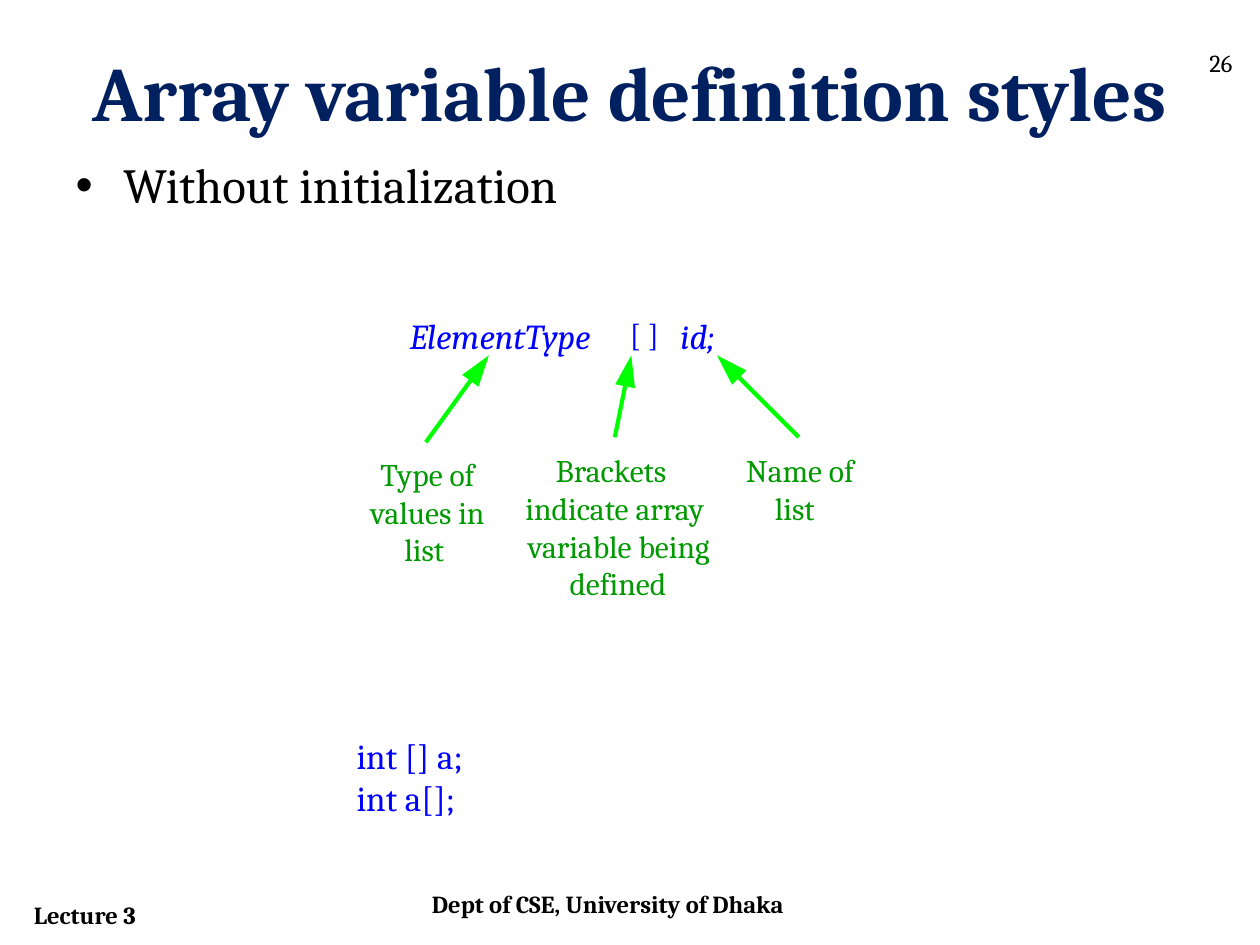
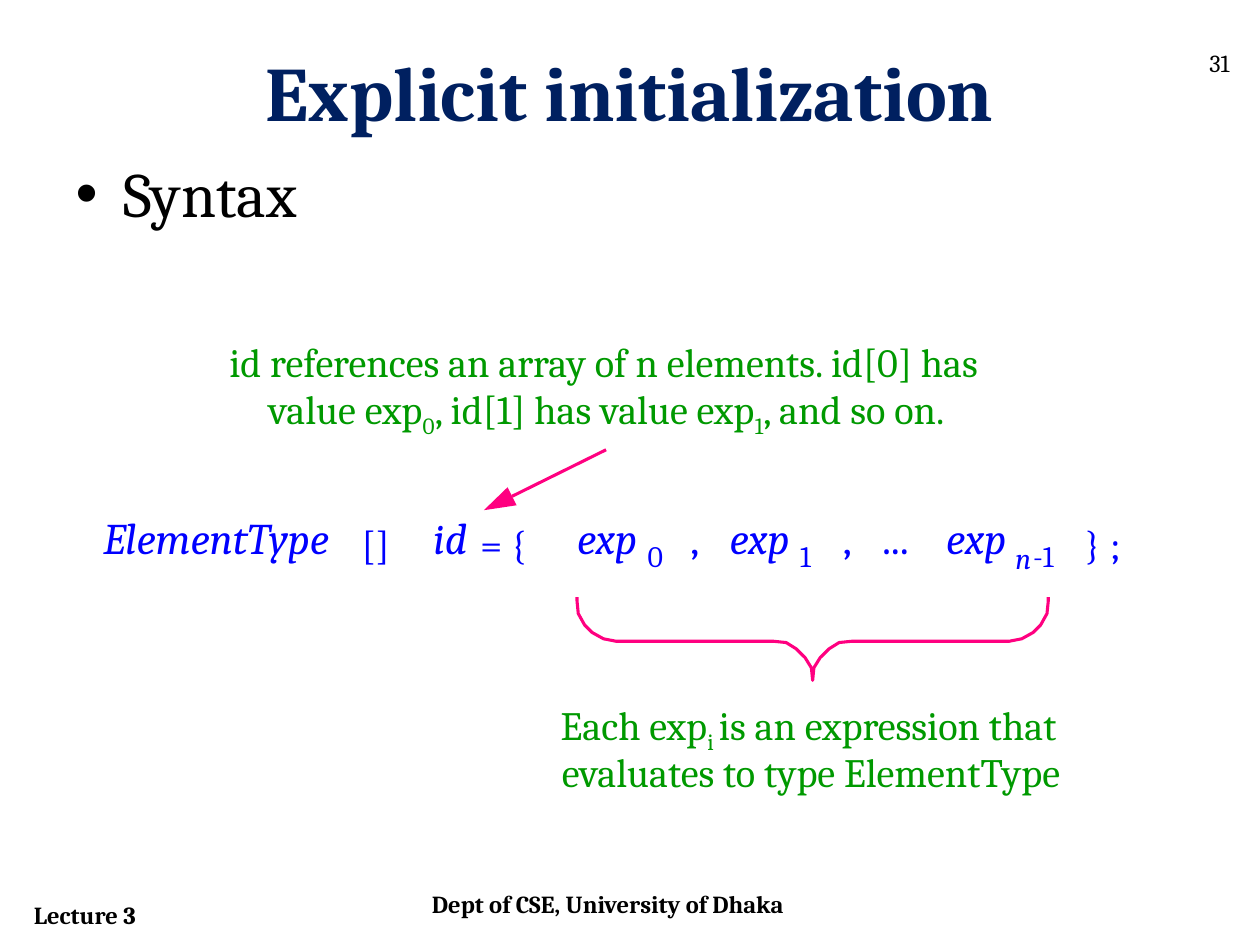
from dataclasses import dataclass
from math import hypot

from lxml.etree import SubElement
from pptx import Presentation
from pptx.dml.color import RGBColor
from pptx.enum.shapes import MSO_CONNECTOR as Connector
from pptx.enum.text import MSO_ANCHOR as Anchor, MSO_AUTO_SIZE as AutoSize, PP_ALIGN as Align
from pptx.oxml.ns import qn
from pptx.util import Inches, Pt


@dataclass(frozen=True)
class Theme:
    font: str = "Cambria"
    navy: str = "002060"
    black: str = "000000"
    blue: str = "0000FF"
    green: str = "009900"
    lime: str = "00FF00"
    pink: str = "FF0080"
    title_size: int = 44
    footer_size: int = 14
    label_size: int = 18
    code_size: int = 20
    note_size: int = 23


THEME = Theme()
TITLE_AREA = (0.5, 0.3, 9, 1.25)
BODY_AREA = (0.5, 1.18, 9, 5.52)
HEAD_LENGTH, HEAD_HALF_WIDTH = 0.25, 0.08

FOOTERS = [
    ("Lecture 3", (0.17, 7.09, 2, 0.34)),
    ("Dept of CSE, University of Dhaka", (3.33, 7.01, 3.08, 0.4)),
]
NUMBER_AREA = (9.5, 0.33, 0.42, 0.4)

LABEL_PITCH = 0.3
CALLOUTS = [
    {"top": 3.61, "arrow": ((3.38, 3.51), (3.88, 2.82)),
     "lines": [("Type of", 3.02, 0.8), ("values in", 2.94, 0.99), ("list", 3.21, 0.33)]},
    {"top": 3.58, "arrow": ((4.88, 3.47), (5.01, 2.82)),
     "lines": [("Brackets", 4.41, 0.93), ("indicate array", 4.17, 1.5),
               ("variable being", 4.19, 1.56), ("defined", 4.52, 0.82)]},
    {"top": 3.58, "arrow": ((6.34, 3.47), (5.69, 2.82)),
     "lines": [("Name of", 5.92, 0.89), ("list", 6.15, 0.33)]},
]
DECLARATION = [
    ("ElementType", 3.25, 1.52, THEME.code_size, True),
    ("[ ]", 5, 0.23, THEME.label_size, False),
    ("id;", 5.4, 0.35, THEME.code_size, True),
]
EXAMPLES = ["int [] a;", "int a[];"]

TOKEN_STYLES = {
    "word": (4.05, 0.42, {"size": 25, "italic": True}),
    "comma": (4.05, 0.42, {"size": 25}),
    "mark": (4.12, 0.39, {"size": 23}),
    "index": (4.27, 0.29, {"size": 17}),
    "variable index": (4.28, 0.29, {"size": 17, "italic": True}),
}
SYNTAX = [
    ("ElementType", 0.82, 1.9, "word"), ("[]", 2.87, 0.3, "mark"),
    ("id", 3.44, 0.28, "word"), ("= {", 3.81, 0.45, "mark"),
    ("exp", 4.58, 0.5, "word"), ("0", 5.14, 0.13, "index"), (",", 5.48, 0.07, "comma"),
    ("exp", 5.79, 0.5, "word"), ("1", 6.35, 0.13, "index"), (",", 6.69, 0.07, "comma"),
    ("...", 7, 0.22, "comma"),
    ("exp", 7.51, 0.5, "word"), ("n", 8.06, 0.13, "variable index"),
    ("-1", 8.2, 0.21, "index"),
    ("}", 8.61, 0.12, "mark"), (";", 8.81, 0.09, "mark"),
]
NOTES = [
    (["id references an array of n elements. id[0] has"], (1.82, 2.68, 6.48, 0.38)),
    (["value exp", "0", ", id[1] has value exp", "1", ", and so on."],
     (2.13, 3.05, 5.79, 0.38)),
    (["Each exp", "i ", "is an expression that"], (4.45, 5.56, 4.19, 0.38)),
    (["evaluates to type ElementType"], (4.46, 5.93, 4.38, 0.38)),
]
ID_ARROW = ((4.81, 3.57), (3.84, 4.05))
BRACE_CENTER = 6.45
BRACE_HALF = [
    (1.87, 4.74), (1.87, 4.77), (1.86, 4.87), (1.81, 4.96), (1.75, 5.02),
    (1.66, 5.07), (1.56, 5.09), (0.31, 5.09), (0.21, 5.1), (0.13, 5.15),
    (0.06, 5.22), (0.01, 5.3), (0, 5.4),
]


def style(font, color, size, **values):
    for name, value in {"name": THEME.font, "size": Pt(size), **values}.items():
        setattr(font, name, value)
    font.color.rgb = RGBColor.from_string(color)


def place(shape, area):
    for name, value in zip(("left", "top", "width", "height"), area):
        setattr(shape, name, Inches(value))


def add_text(page, paragraphs, area, color, size, inset=0, **values):
    box = page.shapes.add_textbox(*map(Inches, area))
    frame = box.text_frame
    frame.word_wrap = False
    frame.auto_size = AutoSize.SHAPE_TO_FIT_TEXT
    if not inset:
        for side in ("left", "top", "right", "bottom"):
            setattr(frame, f"margin_{side}", 0)
    for index, spans in enumerate(paragraphs):
        para = frame.add_paragraph() if index else frame.paragraphs[0]
        for position, text in enumerate(spans):
            span = para.add_run()
            span.text = text
            style(span.font, color, size, **values)
            if position % 2:
                span._r.get_or_add_rPr().set("baseline", "-25000")


def add_outline(page, points, closed):
    (left, top), *rest = points
    builder = page.shapes.build_freeform(Inches(left), Inches(top))
    builder.add_line_segments([(Inches(x), Inches(y)) for x, y in rest], close=closed)
    outline = builder.convert_to_shape()
    outline.shadow.inherit = False
    return outline


def add_arrow(page, start, tip, color, weight):
    length = hypot(tip[0] - start[0], tip[1] - start[1])
    ux, uy = (tip[0] - start[0]) / length, (tip[1] - start[1]) / length
    base = (tip[0] - ux * HEAD_LENGTH, tip[1] - uy * HEAD_LENGTH)
    shaft = page.shapes.add_connector(Connector.STRAIGHT, *map(Inches, (*start, *base)))
    shaft.line.color.rgb = RGBColor.from_string(color)
    shaft.line.width = Pt(weight)
    SubElement(shaft._element.spPr, qn("a:effectLst"))
    corners = [(base[0] - side * uy, base[1] + side * ux)
               for side in (HEAD_HALF_WIDTH, -HEAD_HALF_WIDTH)]
    head = add_outline(page, [tip, *corners], True)
    head.fill.solid()
    head.fill.fore_color.rgb = RGBColor.from_string(color)
    head.line.fill.background()


def add_page(deck, title, bullet, bullet_size, number):
    page = deck.slides.add_slide(deck.slide_layouts[1])
    heading, body = page.placeholders
    for holder, text, area in ((heading, title, TITLE_AREA), (body, bullet, BODY_AREA)):
        place(holder, area)
        holder.text_frame.text = text
        holder.text_frame.vertical_anchor = Anchor.TOP
        holder.text_frame.auto_size = AutoSize.NONE
    para = heading.text_frame.paragraphs[0]
    para.alignment = Align.CENTER
    style(para.runs[0].font, THEME.navy, THEME.title_size, bold=True)
    para = body.text_frame.paragraphs[0]
    para.space_before = Pt(0)
    properties = para._p.get_or_add_pPr()
    properties.set("marL", str(Inches(0.38)))
    properties.set("indent", str(-Inches(0.38)))
    SubElement(properties, qn("a:buFont")).set("typeface", "Arial")
    SubElement(properties, qn("a:buChar")).set("char", "•")
    style(para.runs[0].font, THEME.black, bullet_size)
    for text, area in FOOTERS:
        add_text(page, [[text]], area, THEME.black, THEME.footer_size, inset=1, bold=True)
    add_text(page, [[number]], NUMBER_AREA, THEME.black, THEME.footer_size, inset=1)
    return page


def add_definition_page(deck):
    page = add_page(deck, "Array variable definition styles", "Without initialization", 28, "26")
    for callout in CALLOUTS:
        add_arrow(page, *callout["arrow"], THEME.lime, 2.38)
        for row, (text, left, width) in enumerate(callout["lines"]):
            area = (left, callout["top"] + row * LABEL_PITCH, width, LABEL_PITCH)
            add_text(page, [[text]], area, THEME.green, THEME.label_size)
    for text, left, width, size, italic in DECLARATION:
        add_text(page, [[text]], (left, 2.5, width, 0.34), THEME.blue, size, italic=italic)
    add_text(page, [[line] for line in EXAMPLES], (2.83, 5.83, 0.86, 0.67),
             THEME.blue, THEME.code_size)


def add_initialization_page(deck):
    page = add_page(deck, "Explicit initialization", "Syntax", 36, "31")
    for text, left, width, kind in SYNTAX:
        top, height, values = TOKEN_STYLES[kind]
        add_text(page, [[text]], (left, top, width, height), THEME.blue, **values)
    for spans, area in NOTES:
        add_text(page, [spans], area, THEME.green, THEME.note_size)
    add_arrow(page, *ID_ARROW, THEME.pink, 1.75)
    right = [(BRACE_CENTER + x, y) for x, y in BRACE_HALF]
    left = [(BRACE_CENTER - x, y) for x, y in reversed(BRACE_HALF[:-1])]
    brace = add_outline(page, right + left, False)
    brace.fill.background()
    brace.line.color.rgb = RGBColor.from_string(THEME.pink)
    brace.line.width = Pt(1.75)


def main():
    deck = Presentation()
    deck.slide_width, deck.slide_height = Inches(10), Inches(7.5)
    add_definition_page(deck)
    add_initialization_page(deck)
    deck.save("out.pptx")


if __name__ == "__main__":
    main()
